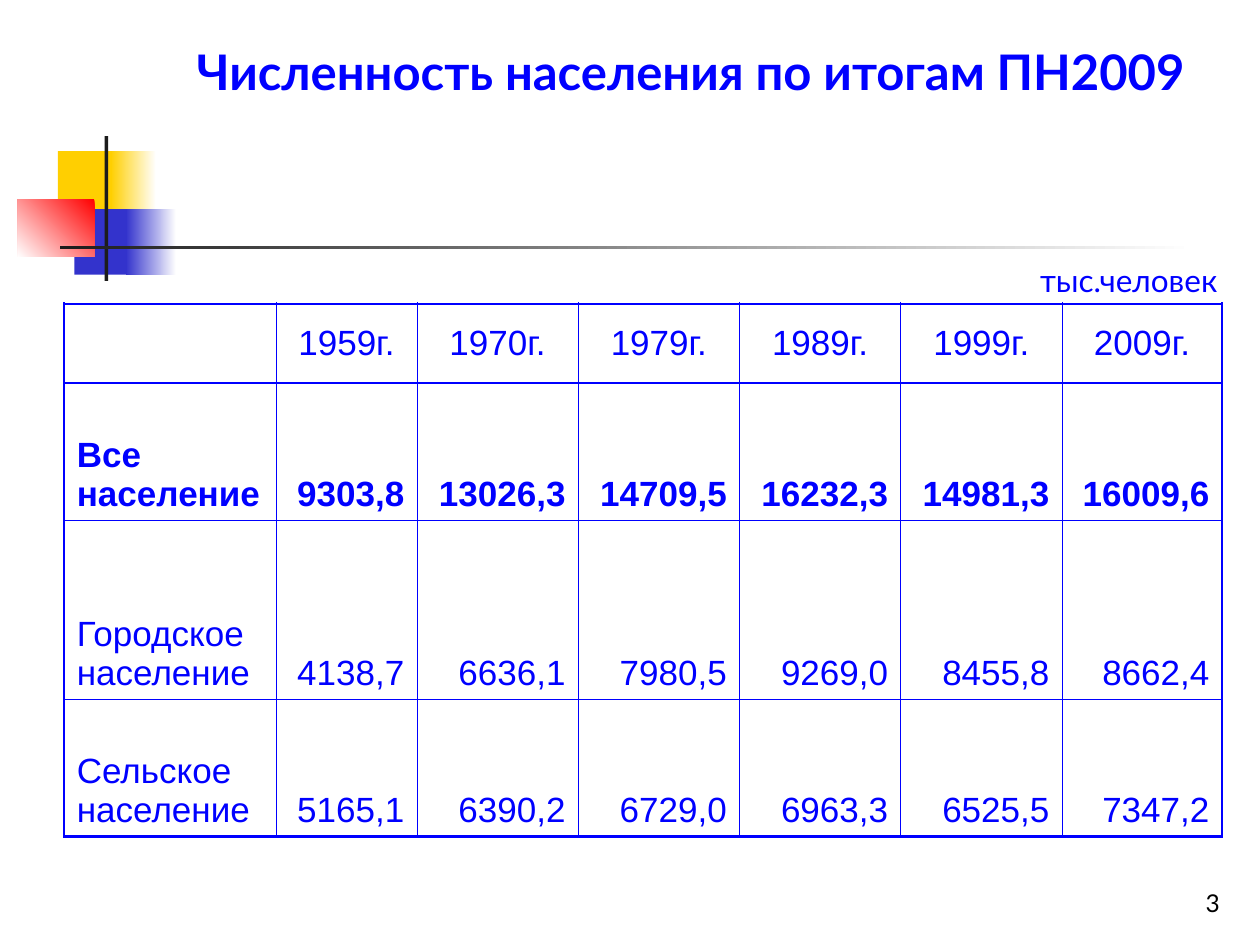
from typing import NamedTuple, Optional

from lxml.etree import SubElement
from pptx import Presentation
from pptx.dml.color import RGBColor
from pptx.enum.shapes import MSO_SHAPE
from pptx.enum.text import MSO_ANCHOR, PP_ALIGN
from pptx.oxml.ns import qn
from pptx.util import Inches, Pt

BLUE = RGBColor(0x00, 0x00, 0xFF)
INDIGO = RGBColor(0x33, 0x33, 0xCC)
YELLOW = RGBColor(0xFF, 0xCF, 0x01)
RED = RGBColor(0xFF, 0x00, 0x00)
DARK = RGBColor(0x1C, 0x1C, 0x1C)
BLACK = RGBColor(0x00, 0x00, 0x00)
WHITE = RGBColor(0xFF, 0xFF, 0xFF)

THIN, THICK = 0.45, 1.47


class Block(NamedTuple):
    left: float
    top: float
    width: float
    height: float
    color: RGBColor
    end_color: Optional[RGBColor] = None
    angle: float = 180


BLOCKS = [
    Block(0.46, 1.2, 0.48, 0.52, YELLOW),
    Block(0.88, 1.2, 0.36, 0.52, WHITE, YELLOW),
    Block(0.59, 1.66, 0.46, 0.52, INDIGO),
    Block(1, 1.66, 0.4, 0.52, WHITE, INDIGO),
    Block(0.14, 1.58, 0.61, 0.46, RED, WHITE, 225),
    Block(0.83, 1.08, 0.03, 1.15, DARK),
    Block(0.48, 1.95, 9, 0.03, WHITE, DARK),
]

COLUMN_WIDTHS = [1.68, 1.12, 1.28, 1.28, 1.28, 1.28, 1.27]
ROW_HEIGHTS = [0.63, 1.09, 1.42, 1.09]
POPULATION = [
    ["", "1959г.", "1970г.", "1979г.", "1989г.", "1999г.", "2009г."],
    ["Все население", "9303,8", "13026,3", "14709,5", "16232,3", "14981,3", "16009,6"],
    ["Городское население", "4138,7", "6636,1", "7980,5", "9269,0", "8455,8", "8662,4"],
    ["Сельское население", "5165,1", "6390,2", "6729,0", "6963,3", "6525,5", "7347,2"],
]


def draw_block(page, block: Block) -> None:
    shape = page.shapes.add_shape(
        MSO_SHAPE.RECTANGLE, Inches(block.left), Inches(block.top),
        Inches(block.width), Inches(block.height))
    shape.shadow.inherit = False
    shape.line.fill.background()
    if block.end_color is None:
        shape.fill.solid()
        shape.fill.fore_color.rgb = block.color
        return
    shape.fill.gradient()
    shape.fill.gradient_angle = block.angle
    colors = (block.color, block.end_color)
    for position, (stop, color) in enumerate(zip(shape.fill.gradient_stops, colors)):
        stop.position = position
        stop.color.rgb = color


def write(frame, text: str, *, size: float, font: str, color: RGBColor = BLUE,
          bold: bool = False, align: PP_ALIGN = PP_ALIGN.LEFT,
          space_before: float = 0) -> None:
    para = frame.paragraphs[0]
    para.alignment = align
    para.space_before = Pt(space_before)
    span = para.add_run()
    span.text = text
    span.font.size = Pt(size)
    span.font.name = font
    span.font.bold = bold
    span.font.color.rgb = color


def add_text(page, text: str, left: float, top: float, width: float, height: float,
             anchor: MSO_ANCHOR = MSO_ANCHOR.TOP, **text_format) -> None:
    box = page.shapes.add_textbox(Inches(left), Inches(top), Inches(width), Inches(height))
    box.text_frame.word_wrap = True
    box.text_frame.vertical_anchor = anchor
    write(box.text_frame, text, **text_format)


def set_borders(cell, widths: dict[str, float]) -> None:
    """Draw blue borders; widths maps the sides L, R, T, B to points."""
    properties = cell._tc.get_or_add_tcPr()
    for side, width in widths.items():
        line = SubElement(properties, qn(f"a:ln{side}"), w=str(Pt(width)))
        fill = SubElement(line, qn("a:solidFill"))
        SubElement(fill, qn("a:srgbClr"), val=str(BLUE))


def add_population_table(page) -> None:
    rows, columns = len(ROW_HEIGHTS), len(COLUMN_WIDTHS)
    table = page.shapes.add_table(
        rows, columns, Inches(0.51), Inches(2.41),
        Inches(sum(COLUMN_WIDTHS)), Inches(sum(ROW_HEIGHTS))).table
    table.first_row = table.horz_banding = False
    for column, width in zip(table.columns, COLUMN_WIDTHS):
        column.width = Inches(width)
    for row, height in zip(table.rows, ROW_HEIGHTS):
        row.height = Inches(height)

    for i, values in enumerate(POPULATION):
        for j, value in enumerate(values):
            cell = table.cell(i, j)
            set_borders(cell, {
                "L": THICK if j == 0 else THIN,
                "R": THICK if j == columns - 1 else THIN,
                "T": THICK if i <= 1 else THIN,
                "B": THICK if i in (0, rows - 1) else THIN,
            })
            cell.fill.solid()
            cell.fill.fore_color.rgb = WHITE
            cell.vertical_anchor = MSO_ANCHOR.MIDDLE if i == 0 else MSO_ANCHOR.BOTTOM
            if i == 0:
                align = PP_ALIGN.CENTER
            else:
                align = PP_ALIGN.LEFT if j == 0 else PP_ALIGN.RIGHT
            if value:
                write(cell.text_frame, value, size=20, font="Arial", bold=i == 1,
                      align=align, space_before=5)


def main() -> None:
    deck = Presentation()
    deck.slide_width, deck.slide_height = Inches(10), Inches(7.5)
    page = deck.slides.add_slide(deck.slide_layouts[6])
    for block in BLOCKS:
        draw_block(page, block)
    add_population_table(page)
    add_text(page, "тыс.человек", 7.52, 2.02, 2.24, 0.4,
             size=18, font="Lato", align=PP_ALIGN.RIGHT)
    add_text(page, "Численность населения по итогам ПН2009", 1.06, 0.28, 8.84, 0.57,
             size=28, font="Lato", bold=True, align=PP_ALIGN.CENTER)
    add_text(page, "3", 7.7, 6.83, 2.08, 0.5, anchor=MSO_ANCHOR.BOTTOM,
             size=14, font="Lato", color=BLACK, align=PP_ALIGN.RIGHT)
    deck.save("out.pptx")


if __name__ == "__main__":
    main()
